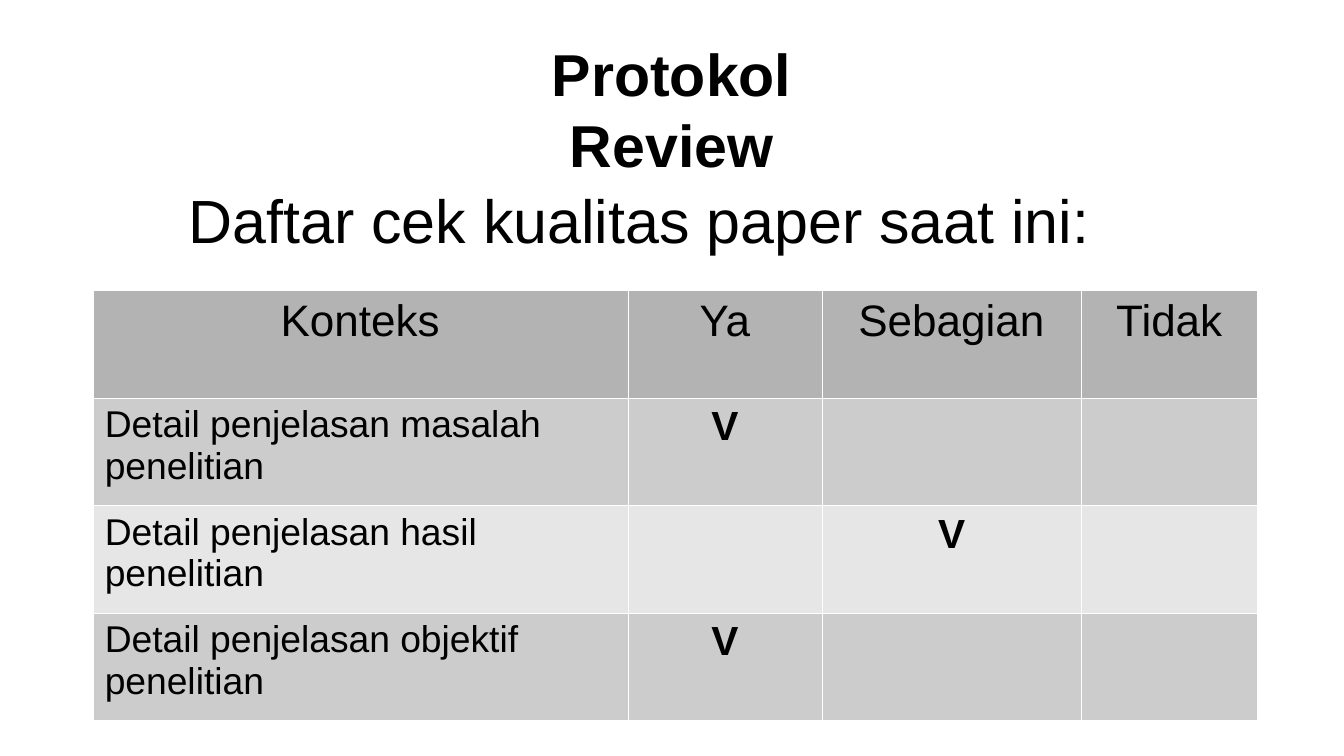
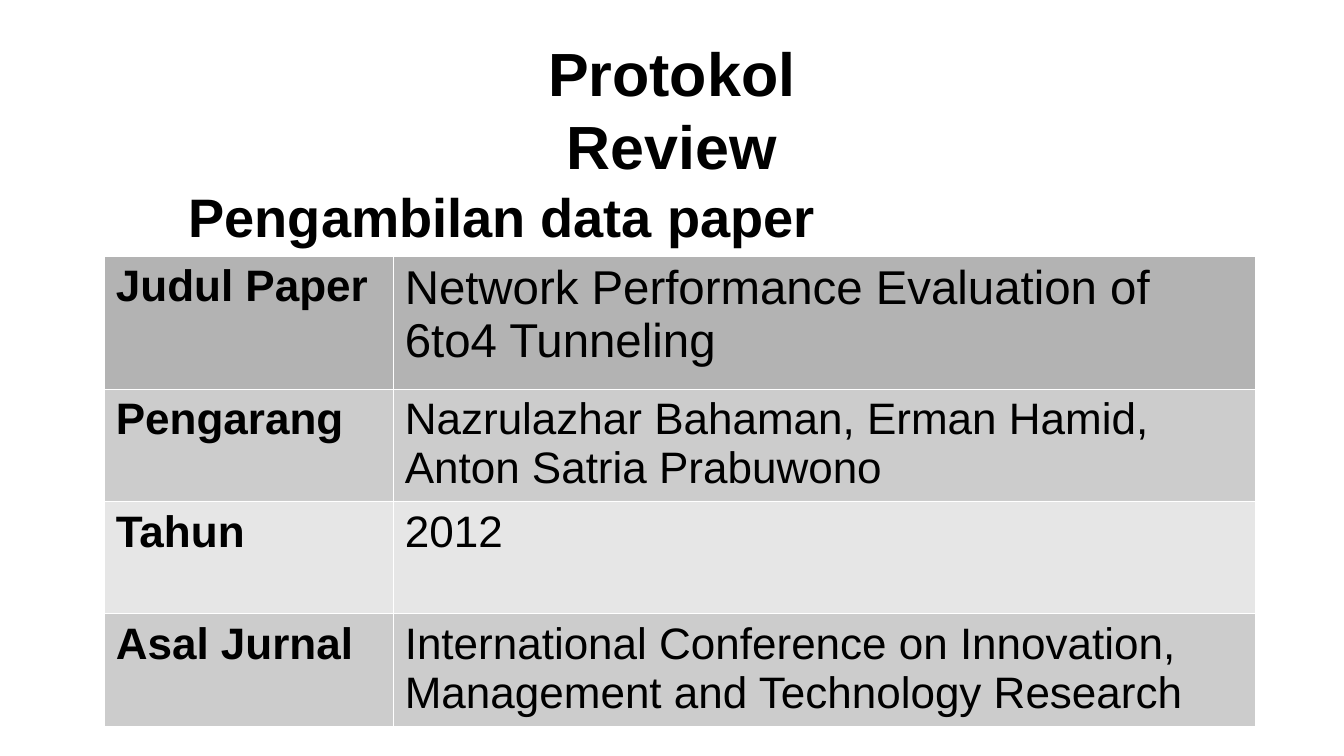
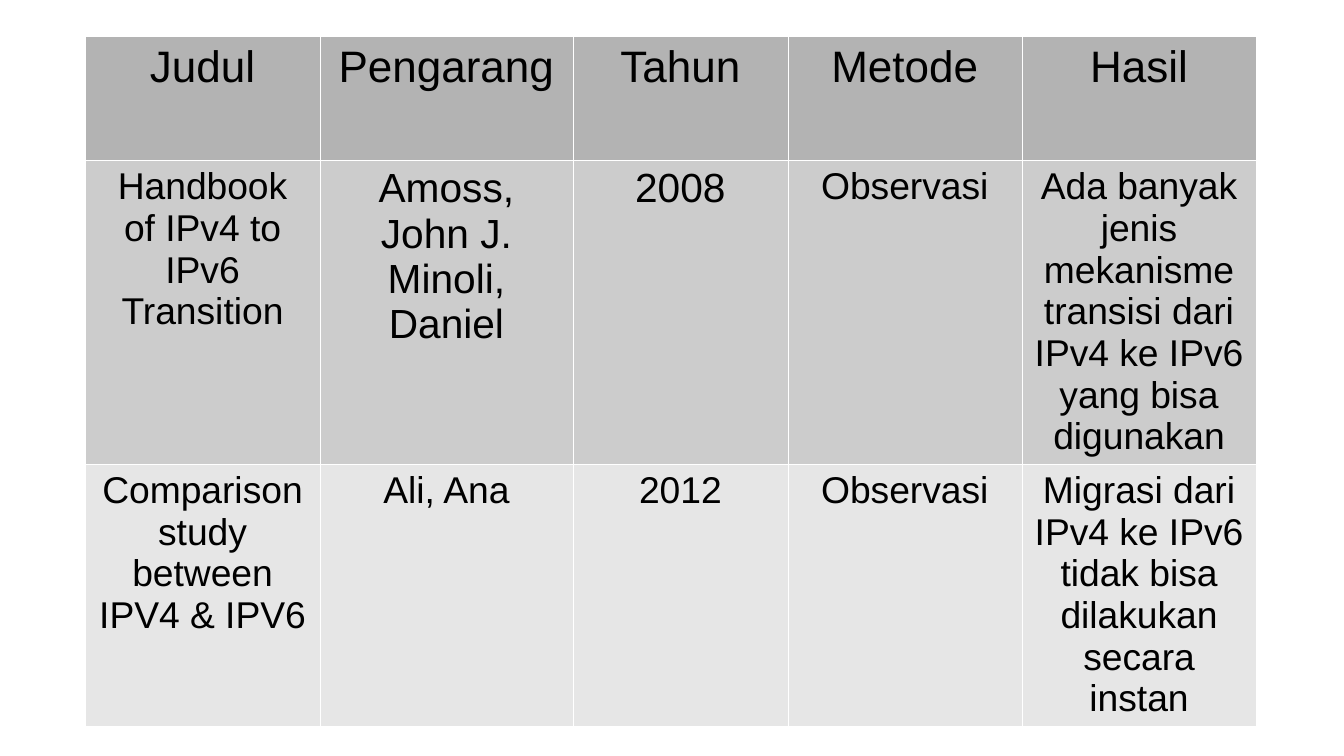
from pptx import Presentation
from pptx.dml.color import RGBColor
from pptx.enum.text import MSO_ANCHOR, MSO_AUTO_SIZE, PP_ALIGN
from pptx.oxml import parse_xml
from pptx.oxml.ns import nsdecls
from pptx.util import Cm, Pt

LEFT, MID = PP_ALIGN.LEFT, PP_ALIGN.CENTER
TOP, CORE = MSO_ANCHOR.TOP, MSO_ANCHOR.MIDDLE
FIXED = MSO_AUTO_SIZE.NONE
HUES = {"text": "000000", "rule": "FFFFFF", "head": "B3B3B3", "odd": "CCCCCC", "even": "E6E6E6"}
FRAME = {"margin_left": 0, "margin_right": 0, "margin_top": 0, "margin_bottom": 0,
         "word_wrap": True, "auto_size": FIXED}
EDGES = ("lnL", "lnR", "lnT", "lnB")


def style(par, size, bold=False, align=LEFT):
    par.alignment = align
    look = {"name": "Arial", "size": Pt(size), "bold": bold}
    for run in par.runs:
        for key, val in look.items():
            setattr(run.font, key, val)
        run.font.color.rgb = RGBColor.from_string(HUES["text"])


def place(shape, box, text, anchor):
    for key, val in zip(("left", "top", "width", "height"), box):
        setattr(shape, key, Cm(val))
    frame = shape.text_frame
    frame.text = text
    for key, val in FRAME.items():
        setattr(frame, key, val)
    frame.vertical_anchor = anchor
    return frame.paragraphs[0]


SLIDES = [
    {
        "title": (0.84, 2.84, 34.9),
        "body": ("Daftar cek kualitas paper saat ini:", 1.78, 36, False),
        "at": (1.93, 6.05),
        "cols": (11.15, 4.04, 5.41, 3.66),
        "rows": (2.24,) * 4,
        "head": (26, False, MID),
        "lead": (22, False, LEFT),
        "rest": (24, True, MID),
        "own": {},
        "data": [
            ("Konteks", "Ya", "Sebagian", "Tidak"),
            ("Detail penjelasan masalah penelitian", "V", "", ""),
            ("Detail penjelasan hasil penelitian", "", "V", ""),
            ("Detail penjelasan objektif penelitian", "V", "", ""),
        ],
    },
    {
        "title": (0.69, 3.15, 36),
        "body": ("Pengambilan data paper", 10, 32, True),
        "at": (2.16, 5.33),
        "cols": (6.02, 17.96),
        "rows": (2.77, 2.34, 2.34, 2.34),
        "head": (28, False, LEFT),
        "lead": (26, True, LEFT),
        "rest": (26, False, LEFT),
        "own": {(0, 0): (26, True, LEFT)},
        "data": [
            ("Judul Paper", "Network Performance Evaluation of 6to4 Tunneling"),
            ("Pengarang", "Nazrulazhar Bahaman, Erman Hamid, Anton Satria Prabuwono"),
            ("Tahun", "2012"),
            ("Asal Jurnal", "International Conference on Innovation, Management and Technology Research"),
        ],
    },
    {
        "at": (1.78, 0.76),
        "cols": (4.88, 5.28, 4.47, 4.88, 4.88),
        "rows": (2.57, 4.75, 4.75),
        "head": (26, False, MID),
        "lead": (22, False, MID),
        "rest": (22, False, MID),
        "own": {(1, 1): (24, False, MID), (1, 2): (24, False, MID)},
        "data": [
            ("Judul", "Pengarang", "Tahun", "Metode", "Hasil"),
            ("Handbook of IPv4 to IPv6 Transition", "Amoss, John J.\nMinoli, Daniel", "2008", "Observasi",
             "Ada banyak jenis mekanisme transisi dari IPv4 ke IPv6 yang bisa digunakan"),
            ("Comparison study between IPV4 & IPV6", "Ali, Ana", "2012", "Observasi",
             "Migrasi dari IPv4 ke IPv6 tidak bisa dilakukan secara instan"),
        ],
    },
]

deck = Presentation()
deck.slide_width, deck.slide_height = Cm(28), Cm(15.75)

for page in SLIDES:
    slide = deck.slides.add_slide(deck.slide_layouts[1 if "title" in page else 6])

    if "title" in page:
        top, high, size = page["title"]
        par = place(slide.shapes.title, (9.6, top, 8.79, high), "Protokol Review", CORE)
        style(par, size, True, MID)

        text, high, size, bold = page["body"]
        par = place(slide.placeholders[1], (2.74, 3.81, 22.5, high), text, TOP)
        props = par._p.get_or_add_pPr()
        props.set("marL", str(Cm(1.19)))
        props.set("indent", "0")
        props.append(parse_xml(f"<a:buNone {nsdecls('a')}/>"))
        par.space_before = Pt(0)
        style(par, size, bold)

    cols, rows = page["cols"], page["rows"]
    left, top = page["at"]
    grid = slide.shapes.add_table(len(rows), len(cols), Cm(left), Cm(top),
                                  Cm(sum(cols)), Cm(sum(rows))).table
    grid.first_row = grid.horz_banding = False
    for col, wide in zip(grid.columns, cols):
        col.width = Cm(wide)
    for row, high in zip(grid.rows, rows):
        row.height = Cm(high)

    for r, line in enumerate(page["data"]):
        hue = "head" if r == 0 else "odd" if r % 2 else "even"
        for c, text in enumerate(line):
            part = "head" if r == 0 else "lead" if c == 0 else "rest"
            look = page["own"].get((r, c), page[part])
            cell = grid.cell(r, c)
            cell.text = text
            for par in cell.text_frame.paragraphs:
                style(par, *look)
            props = cell._tc.get_or_add_tcPr()
            for edge in EDGES:
                props.append(parse_xml(
                    f'<a:{edge} {nsdecls("a")} w="762"><a:solidFill>'
                    f'<a:srgbClr val="{HUES["rule"]}"/></a:solidFill></a:{edge}>'))
            cell.fill.solid()
            cell.fill.fore_color.rgb = RGBColor.from_string(HUES[hue])

deck.save("out.pptx")
